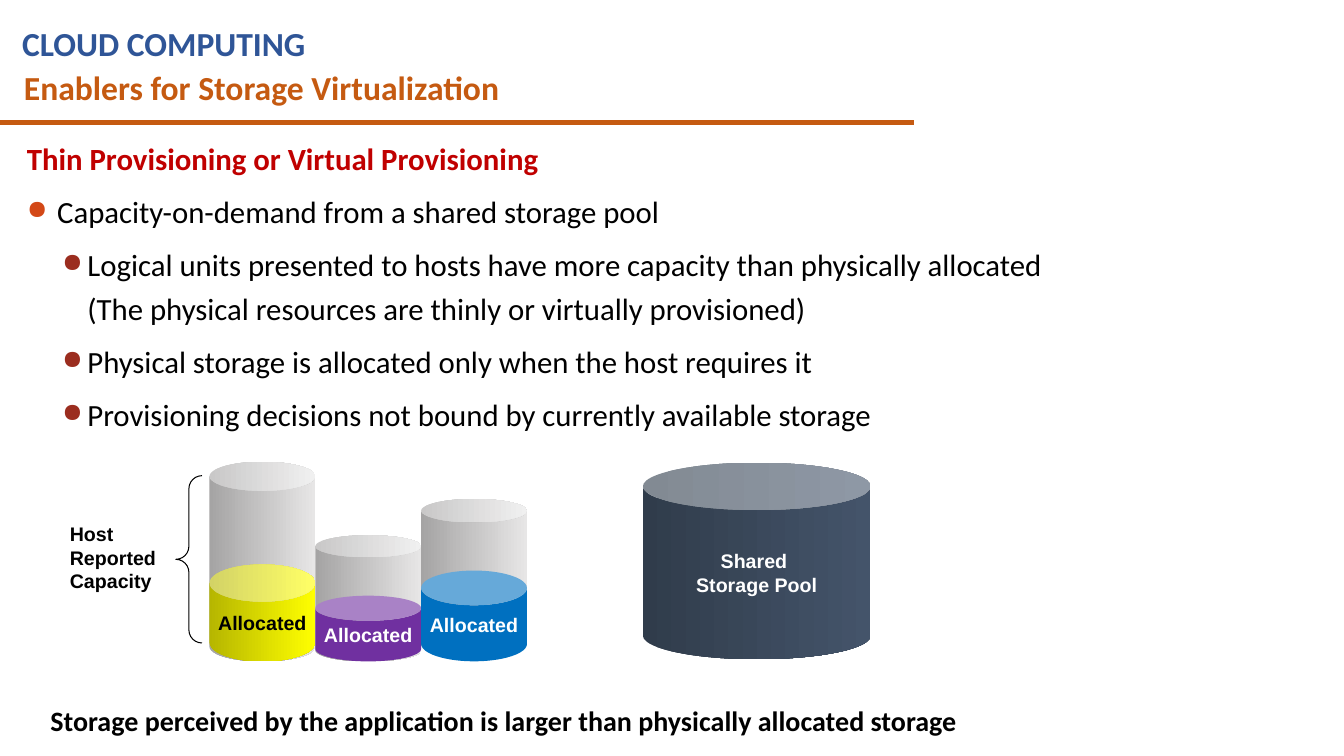
import pptx
import pptx.dml.color
import pptx.enum.shapes
import pptx.enum.text
import pptx.oxml
import pptx.oxml.ns
import pptx.util

Pt = pptx.util.Pt
RGB = pptx.dml.color.RGBColor
qn = pptx.oxml.ns.qn
Shape = pptx.enum.shapes.MSO_SHAPE
Align = pptx.enum.text.PP_ALIGN
Anchor = pptx.enum.text.MSO_ANCHOR
AutoSize = pptx.enum.text.MSO_AUTO_SIZE

BLACK = RGB(0x00, 0x00, 0x00)
WHITE = RGB(0xFF, 0xFF, 0xFF)
ORANGE = RGB(0xC5, 0x5A, 0x11)
HEADING_BLUE = RGB(0x2F, 0x55, 0x97)
RED = RGB(0xC0, 0x00, 0x00)
BULLET_ORANGE = RGB(0xD3, 0x48, 0x17)
BULLET_RED = RGB(0x9B, 0x2D, 0x1F)
GREY = RGB(0xE7, 0xE6, 0xE6)
YELLOW = RGB(0xFF, 0xFF, 0x00)
PURPLE = RGB(0x70, 0x30, 0xA0)
BLUE = RGB(0x00, 0x70, 0xC0)
SLATE = RGB(0x44, 0x54, 0x6A)


class Storyboard:
    """Draws the elements of one slide in a shared style."""

    body_font = "Calibri"
    label_font = "Arial"
    label_size = 14

    def __init__(self, slide):
        self.slide = slide

    def style(self, paragraph, font, size, color, bold=True):
        for run in paragraph.runs:
            run.font.name = font
            run.font.size = Pt(size)
            run.font.bold = bold
            run.font.color.rgb = color

    def text(self, box, words, size, color, font=body_font, inset=(7.2, 3.6), wrap=True):
        frame = self.slide.shapes.add_textbox(*map(Pt, box)).text_frame
        frame.word_wrap = wrap
        frame.auto_size = AutoSize.SHAPE_TO_FIT_TEXT
        frame.margin_left = frame.margin_right = Pt(inset[0])
        frame.margin_top = frame.margin_bottom = Pt(inset[1])
        frame.text = words
        for paragraph in frame.paragraphs:
            self.style(paragraph, font, size, color)
        return frame

    def bullet(self, frame, words, level, left, hanging, color):
        paragraph = frame.add_paragraph()
        paragraph.text = words
        paragraph.level = level
        paragraph.line_spacing = 1.2
        paragraph.space_before = Pt(6)
        self.style(paragraph, self.body_font, 22, BLACK, bold=False)
        properties = paragraph._p.get_or_add_pPr()
        properties.set("marL", str(Pt(left)))
        properties.set("indent", str(-Pt(hanging)))
        for mark in (
            f'<a:buClr %s><a:srgbClr val="{color}"/></a:buClr>',
            '<a:buSzPct %s val="85000"/>',
            '<a:buChar %s char="●"/>',
        ):
            properties.append(pptx.oxml.parse_xml(mark % pptx.oxml.ns.nsdecls("a")))

    def rule(self, start, end, color, width):
        line = self.slide.shapes.add_connector(
            pptx.enum.shapes.MSO_CONNECTOR.STRAIGHT, *map(Pt, start + end))
        line.line.color.rgb = color
        line.line.width = Pt(width)
        line._element.spPr.append(pptx.oxml.parse_xml(
            "<a:effectLst %s/>" % pptx.oxml.ns.nsdecls("a")))

    def can(self, box, lid, color, shaded=True, label="", label_color=WHITE):
        can = self.slide.shapes.add_shape(Shape.CAN, *map(Pt, box))
        can.adjustments[0] = lid
        can.shadow.inherit = False
        can.line.fill.background()
        if shaded:
            can.fill.gradient()
            can.fill.gradient_angle = 0
            for stop in can.fill.gradient_stops:
                stop.color.rgb = color
            dark_edge = next(can._element.spPr.iter(qn("a:srgbClr")))
            dark_edge.append(pptx.oxml.parse_xml(
                '<a:shade %s val="46275"/>' % pptx.oxml.ns.nsdecls("a")))
        else:
            can.fill.solid()
            can.fill.fore_color.rgb = color
        if label:
            frame = can.text_frame
            frame.word_wrap = False
            frame.vertical_anchor = Anchor.MIDDLE
            frame.margin_left = frame.margin_right = 0
            frame.margin_top = frame.margin_bottom = 0
            frame.text = label
            for paragraph in frame.paragraphs:
                paragraph.alignment = Align.CENTER
                self.style(paragraph, self.label_font, self.label_size, label_color)

    def brace(self, box):
        brace = self.slide.shapes.add_shape(Shape.LEFT_BRACE, *map(Pt, box))
        brace.adjustments[0] = 0.5
        brace.adjustments[1] = 0.5
        brace.shadow.inherit = False
        brace.fill.background()
        brace.line.color.rgb = BLACK
        brace.line.width = Pt(0.75)


def main():
    deck = pptx.Presentation()
    deck.slide_width, deck.slide_height = Pt(960), Pt(540)
    board = Storyboard(deck.slides.add_slide(deck.slide_layouts[6]))

    board.text((10, 44.5, 675, 36), "Enablers for Storage Virtualization", 24, ORANGE)
    board.rule((0, 87.5), (653, 87.5), ORANGE, 3)
    board.text((8.7, 13, 590, 36), "CLOUD COMPUTING", 24, HEADING_BLUE)

    points = board.text((12.2, 96.6, 947.8, 235),
                        "Thin Provisioning or Virtual Provisioning", 22, RED)
    board.bullet(points, "Capacity-on-demand from a shared storage pool",
                 0, 21.6, 21.6, BULLET_ORANGE)
    for detail in (
        "Logical units presented to hosts have more capacity than physically allocated\n"
        "(The physical resources are thinly or virtually provisioned)",
        "Physical storage is allocated only when the host requires it",
        "Provisioning decisions not bound by currently available storage",
    ):
        board.bullet(points, detail, 1, 43.2, 18, BULLET_RED)

    first_left, can_width, floor = 149.6, 75.6, 472.4
    reported = ((329.8, 472.4, 0.275), (382.3, 472.4, 0.208), (356.4, 468.7, 0.222))
    allocated = ((403.2, YELLOW, True, BLACK), (425.5, PURPLE, False, WHITE),
                 (407.6, BLUE, False, WHITE))
    for column, (top, bottom, lid) in enumerate(reported):
        board.can((first_left + column * can_width, top, can_width, bottom - top), lid, GREY)
    for column, (top, color, shaded, ink) in enumerate(allocated):
        board.can((first_left + column * can_width, top, can_width, floor - top),
                  0.383, color, shaded, "Allocated", ink)

    board.brace((125.6, 339.8, 18.7, 119.5))
    board.text((49.9, 373, 65, 50.4), "Host\nReported\nCapacity", board.label_size, BLACK,
               board.label_font, inset=(0, 0), wrap=False)
    board.can((459.2, 330.5, 162.7, 140.4), 0.241, SLATE, label="Shared \nStorage Pool")
    board.text((36, 502.5, 837.5, 24.5),
               "Storage perceived by the application is larger than physically allocated storage",
               20, BLACK, inset=(0, 0))

    deck.save("out.pptx")


if __name__ == "__main__":
    main()
